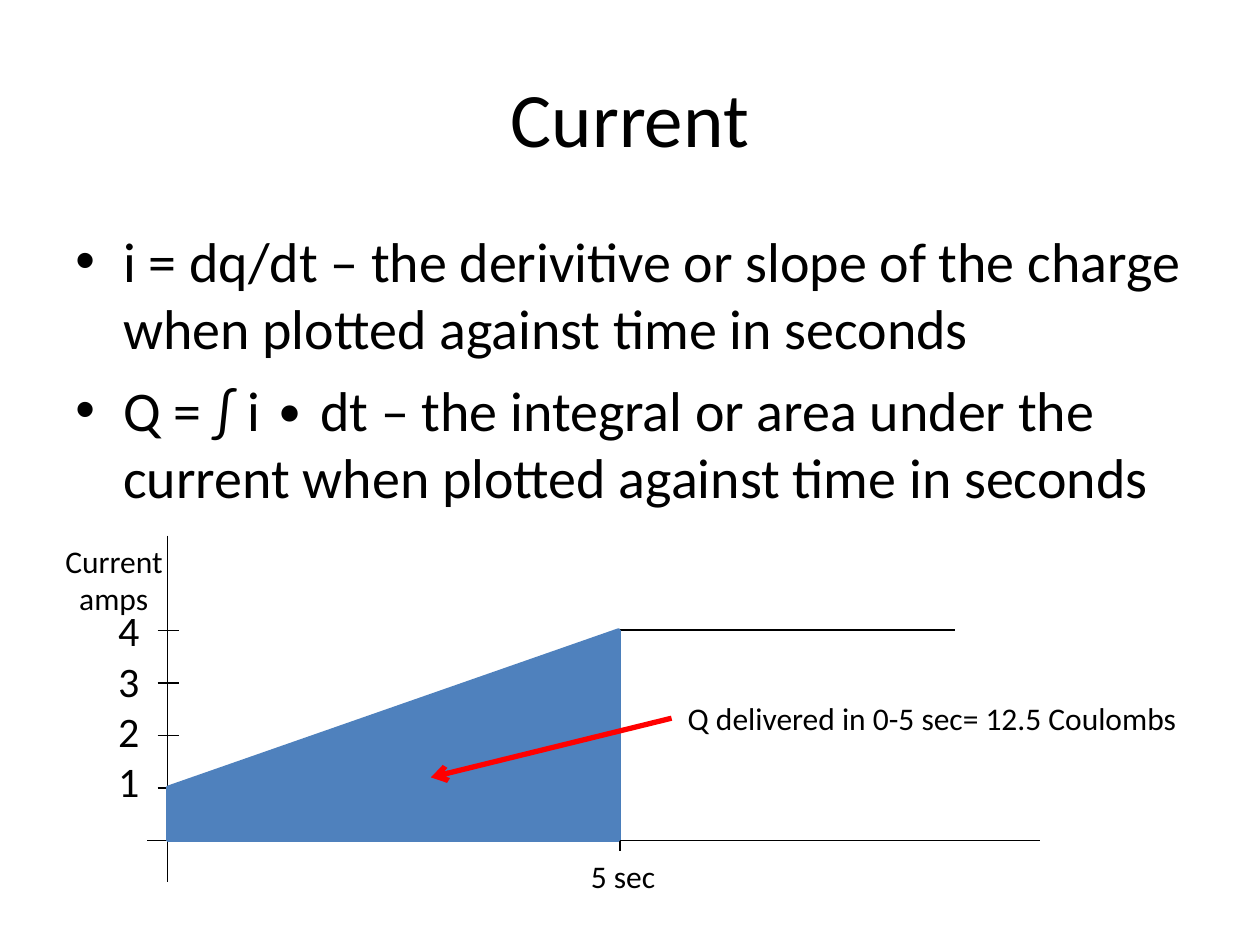
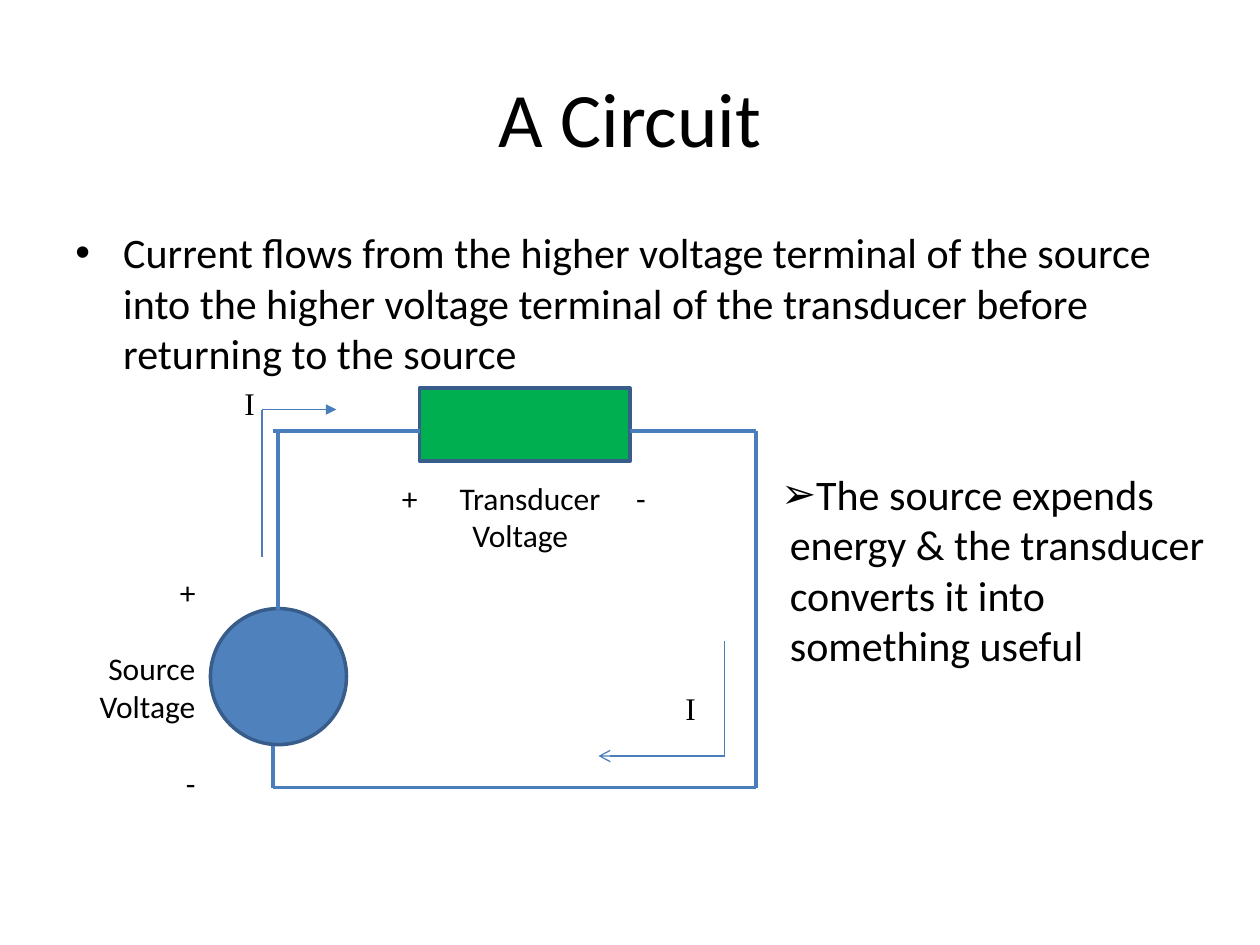
from lxml import etree
from pptx import Presentation
from pptx.dml.color import RGBColor
from pptx.enum.shapes import MSO_CONNECTOR, MSO_SHAPE
from pptx.enum.text import MSO_ANCHOR, PP_ALIGN
from pptx.oxml.ns import qn
from pptx.util import Inches, Pt

STRAIGHT = MSO_CONNECTOR.STRAIGHT
RECTANGLE, ELLIPSE, RIGHT_TRIANGLE = MSO_SHAPE.RECTANGLE, MSO_SHAPE.OVAL, MSO_SHAPE.RIGHT_TRIANGLE
CENTER, RIGHT, MIDDLE = PP_ALIGN.CENTER, PP_ALIGN.RIGHT, MSO_ANCHOR.MIDDLE

# Shared look
BLACK, RED, GREEN = "000000", "FF0000", "00B050"
BLUE, WIRE, OUTLINE = "4F81BD", "4A7EBB", "385D8A"
BODY_FONT, SYMBOL_FONT = "Calibri", "Times New Roman"
BODY_BOX = (0.5, 1.75, 9, 4.95)
ONE_LINE = {"space_before": Pt(22)}
color = RGBColor.from_string


def add_text(slide, box, lines, size=18, font=BODY_FONT, wrap=False,
             bullet=None, left=0, hanging=0):
    """Write (text, paragraph formats) pairs into a text box."""
    frame = slide.shapes.add_textbox(*map(Inches, box)).text_frame
    frame.word_wrap = wrap
    for number, (text, formats) in enumerate(lines):
        paragraph = frame.add_paragraph() if number else frame.paragraphs[0]
        paragraph.text = text
        formats = dict(formats)
        indent = formats.pop("left", left)
        for name, value in formats.items():
            setattr(paragraph, name, value)
        for run in paragraph.runs:
            run.font.name, run.font.size = font, Pt(size)
            run.font.color.rgb = color(BLACK)
        properties = paragraph._p.get_or_add_pPr()
        properties.set("marL", str(Inches(indent)))
        properties.set("indent", str(Inches(-hanging)))
        if bullet:
            etree.SubElement(properties, qn("a:buFont"), typeface="Arial")
            etree.SubElement(properties, qn("a:buChar"), char=bullet)


def add_line(slide, start, end, stroke=BLACK, width=0.75, arrow=None):
    """Draw a straight line, with an optional arrowhead at its end."""
    line = slide.shapes.add_connector(STRAIGHT, *map(Inches, start + end))
    line.line.color.rgb, line.line.width = color(stroke), Pt(width)
    properties = line._element.spPr
    if arrow:
        etree.SubElement(properties.find(qn("a:ln")), qn("a:tailEnd"), type=arrow)
    etree.SubElement(properties, qn("a:effectLst"))


deck = Presentation()
deck.slide_width, deck.slide_height = Inches(10), Inches(7.5)

# Titles
slides = []
for heading in ("Current", "A Circuit"):
    slide = deck.slides.add_slide(deck.slide_layouts[5])
    title = slide.shapes.title
    title.left, title.top, title.width, title.height = map(Inches, (0.5, 0.3, 9, 1.25))
    title.text_frame.text = heading
    title.text_frame.vertical_anchor = MIDDLE
    title.text_frame.paragraphs[0].alignment = CENTER
    title_font = title.text_frame.paragraphs[0].runs[0].font
    title_font.name, title_font.size = BODY_FONT, Pt(44)
    title_font.color.rgb = color(BLACK)
    slides.append(slide)
current, circuit = slides

# Current: definitions
add_text(current, BODY_BOX, [
    ("i = dq/dt – the derivitive or slope of the charge when plotted against time in seconds",
     {"space_before": Pt(8)}),
    ("Q = ∫ i ∙ dt – the integral or area under the current when plotted against time in seconds",
     {"space_before": Pt(8)}),
], size=32, wrap=True, bullet="•", left=0.38, hanging=0.38)

# Current: axes, curve and one tick per ampere
ORIGIN_X, ORIGIN_Y, END_X = 1.33, 6.67, 4.92
AMPERE = 5 / 12
one_amp, four_amps = 6.25, 5
add_line(current, (ORIGIN_X, 4.25), (ORIGIN_X, 7))
add_line(current, (1.17, ORIGIN_Y), (8.25, ORIGIN_Y))
add_line(current, (ORIGIN_X, one_amp), (END_X, four_amps))
add_line(current, (END_X, four_amps), (7.58, four_amps))
for amps in range(1, 5):
    tick_y = ORIGIN_Y - amps * AMPERE
    add_line(current, (1.25, tick_y), (1.42, tick_y))
add_line(current, (END_X, 6.59), (END_X, 6.75))

# Current: graph labels
add_text(current, (0.84, 4.75, 0.37, 1.7), [(str(amps), {}) for amps in range(4, 0, -1)], size=24)
add_text(current, (0.42, 4.25, 0.98, 0.7), [("Current", {}), ("amps", {"left": 0.11})])
add_text(current, (4.59, 6.75, 0.71, 0.4), [("5 sec", {})])
add_text(current, (5.36, 5.5, 4.08, 0.4), [("Q delivered in 0-5 sec= 12.5 Coulombs", {})])
add_line(current, (END_X, four_amps), (END_X, ORIGIN_Y), WIRE)

# Filled shapes of both slides: area under the curve, source, transducer
for slide, kind, box, fill, outline in (
    (current, RIGHT_TRIANGLE, (ORIGIN_X, four_amps, 3.58, 1.25), BLUE, BLUE),
    (current, RECTANGLE, (ORIGIN_X, one_amp, 3.58, 0.42), BLUE, BLUE),
    (circuit, ELLIPSE, (1.67, 4.83, 1.08, 1.08), BLUE, OUTLINE),
    (circuit, RECTANGLE, (3.33, 3.08, 1.67, 0.58), GREEN, OUTLINE),
):
    part = slide.shapes.add_shape(kind, *map(Inches, box))
    part.shadow.inherit = False
    part.fill.solid()
    part.fill.fore_color.rgb = color(fill)
    part.line.color.rgb, part.line.width = color(outline), Pt(2)
    if kind == RIGHT_TRIANGLE:
        part._element.spPr.xfrm.set("flipH", "1")
add_line(current, (5.33, 5.7), (3.42, 6.17), RED, 3, "arrow")

# Circuit: explanation
add_text(circuit, BODY_BOX, [
    ("Current flows from the higher voltage terminal of the source into the higher voltage "
     "terminal of the transducer before returning to the source", {"space_before": Pt(6)}),
], size=24, wrap=True, bullet="•", left=0.38, hanging=0.38)
add_text(circuit, (6.1, 3.67, 3.58, 1.7), [
    ("The source expends\venergy & the transducer\vconverts it into\vsomething useful", {}),
], size=24, bullet="➢", left=0.07, hanging=0.07)

# Circuit: wires
for start, end in (
    ((2.21, 4.84), (2.21, 3.42)),
    ((2.17, 3.42), (3.33, 3.42)),
    ((5, 3.42), (6, 3.42)),
    ((6, 3.42), (6, 6.25)),
    ((6, 6.25), (2.17, 6.25)),
    ((2.17, 5.92), (2.17, 6.25)),
):
    add_line(circuit, start, end, WIRE, 2.25)

# Circuit: direction of the current
for start, corner, end, arrow, symbol_at in (
    ((2.08, 4.42), (2.08, 3.25), (2.67, 3.25), "triangle", (1.84, 3)),
    ((5.75, 5.09), (5.75, 6), (4.75, 6), "arrow", (5.34, 5.42)),
):
    add_line(circuit, start, corner, WIRE)
    add_line(circuit, corner, end, WIRE, arrow=arrow)
    add_text(circuit, symbol_at + (0.28, 0.4), [("I", {})], font=SYMBOL_FONT)

# Circuit: source label
source_lines = [("+", {}), ("Source", ONE_LINE), ("Voltage", {}), ("-", ONE_LINE)]
add_text(circuit, (0.68, 4.5, 0.97, 1.9),
         [(text, {"alignment": RIGHT, **formats}) for text, formats in source_lines])

# Circuit: transducer label between its two terminals
for left, width, height, lines in (
    (3.09, 0.32, 0.4, [("+", {})]),
    (3.55, 1.32, 0.7, [("Transducer", {}), ("Voltage", {"left": 0.1})]),
    (4.95, 0.28, 0.4, [("-", {})]),
):
    add_text(circuit, (left, 3.75, width, height), lines)

deck.save("out.pptx")
